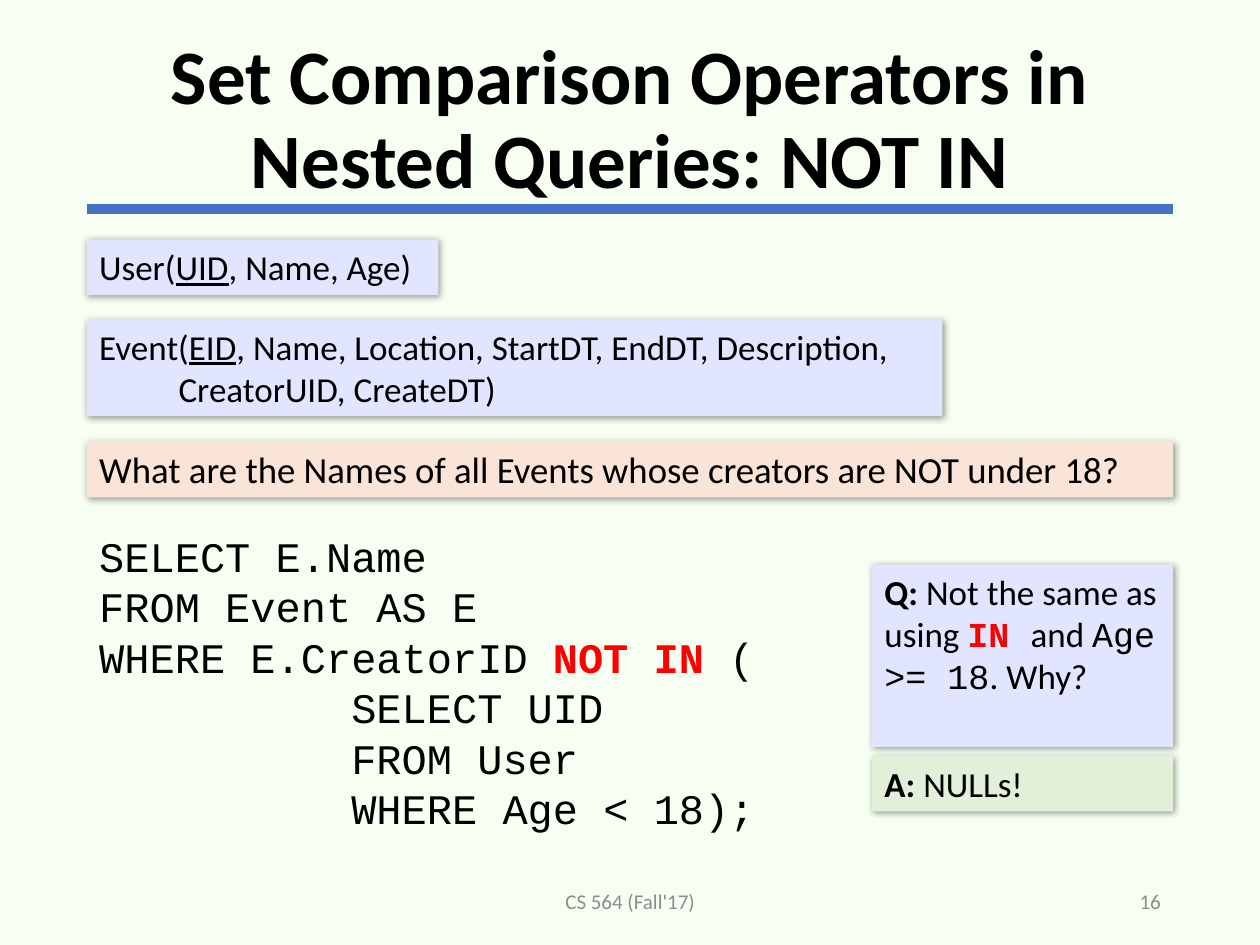
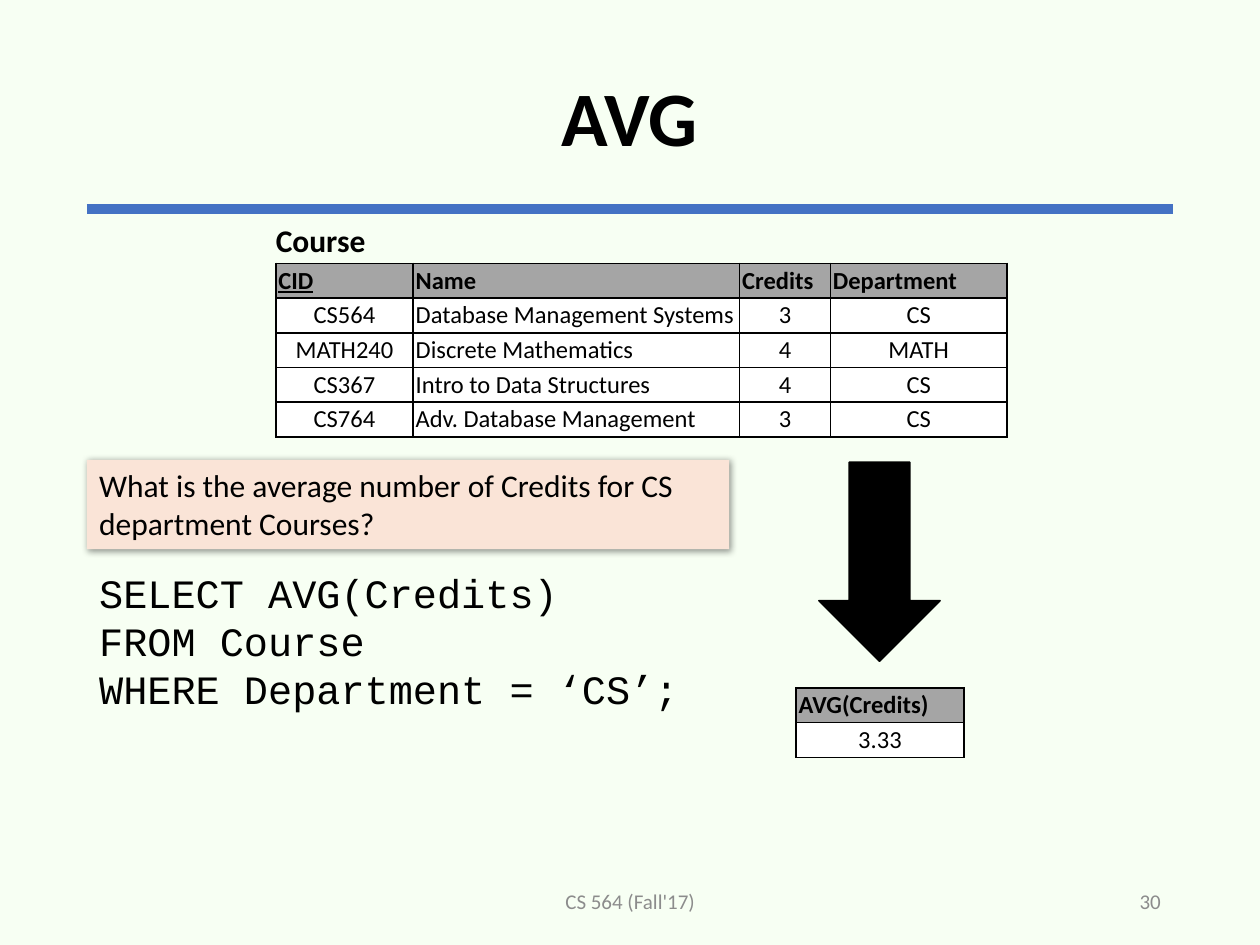
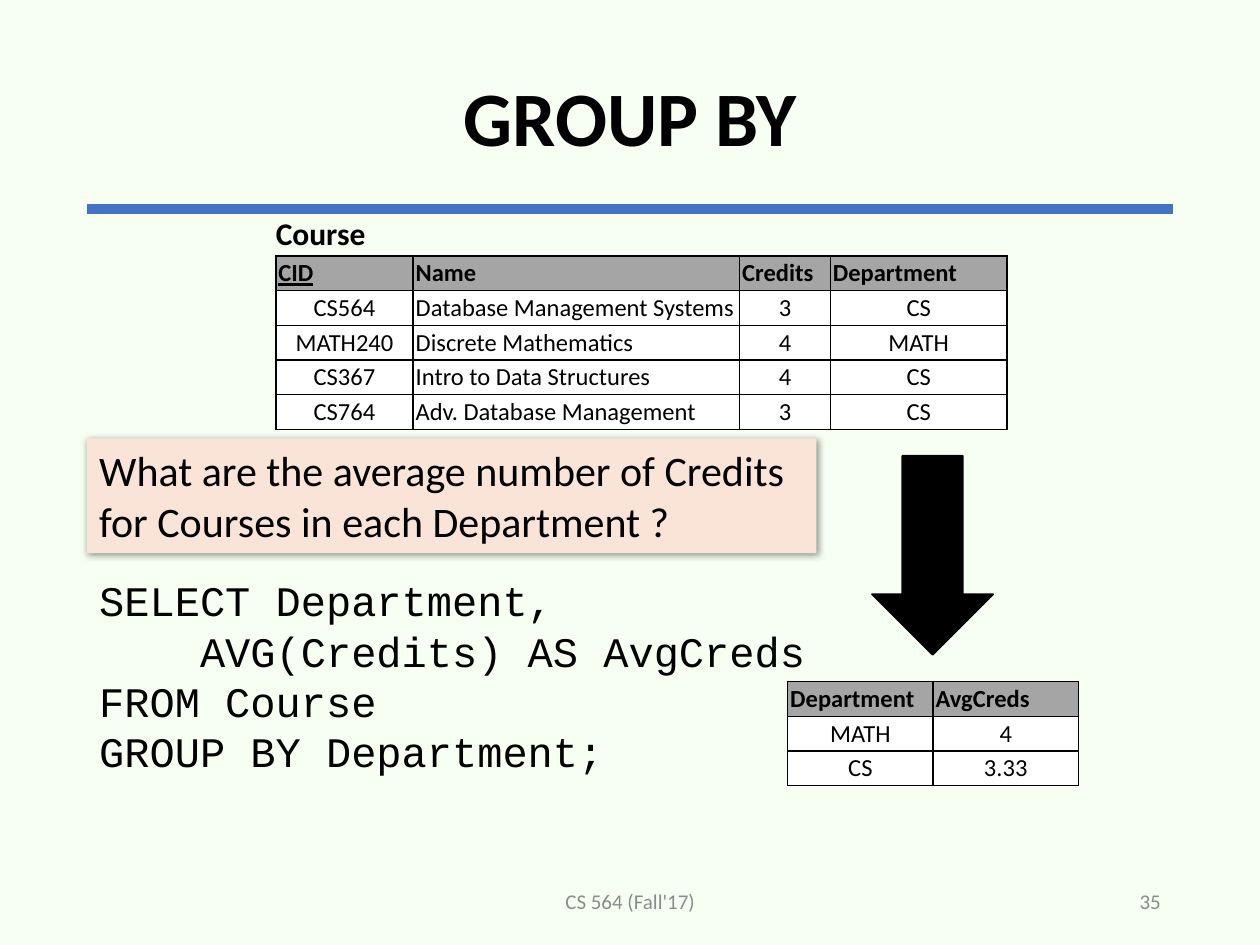
from pptx import Presentation
from pptx.dml.color import RGBColor
from pptx.enum.shapes import MSO_CONNECTOR, MSO_SHAPE
from pptx.enum.text import MSO_ANCHOR as ANCHOR, MSO_AUTO_SIZE as FIT, PP_ALIGN as ALIGN
from pptx.oxml import parse_xml
from pptx.oxml.ns import nsdecls
from pptx.oxml.xmlchemy import OxmlElement
from pptx.util import Cm, Pt

COLORS = {
    "background": "F7FFF3",
    "rule": "4472C4",
    "text": "000000",
    "footer": "8C8C8C",
    "keyword": "FF0000",
    "schema": "E2E5FF",
    "question": "FAE4D7",
    "answer": "E2F0D9",
    "header": "A5A5A5",
    "cell": "FFFFFF",
}
SANS, MONO = "Calibri", "Courier New"
LEFT, WIDTH = 1.75, 21.9
ROW_HEIGHT = 0.7
KEYWORD = {"font": MONO, "color": "keyword", "bold": True}
BOLD = {"bold": True}
UNDERLINE = {"underline": True}

COURSE_COLUMNS = [2.77, 6.58, 1.83, 3.56]
COURSE_ROWS = [
    ["CID", "Name", "Credits", "Department"],
    ["CS564", "Database Management Systems", "3", "CS"],
    ["MATH240", "Discrete Mathematics", "4", "MATH"],
    ["CS367", "Intro to Data Structures", "4", "CS"],
    ["CS764", "Adv. Database Management", "3", "CS"],
]


def rgb(name):
    return RGBColor.from_string(COLORS[name])


def add_run(p, text, size, font=SANS, color="text", bold=False, underline=False):
    r = p.add_run()
    r.text = text
    f = r.font
    f.name, f.size, f.bold, f.underline = font, Pt(size), bold, underline
    f.color.rgb = rgb(color)


def write(tf, lines, size, align=ALIGN.LEFT, **style):
    for i, line in enumerate(lines):
        p = tf.add_paragraph() if i else tf.paragraphs[0]
        p.alignment = align
        for piece in [line] if isinstance(line, str) else line:
            text, change = (piece, {}) if isinstance(piece, str) else piece
            add_run(p, text, size, **{**style, **change})


def add_text(s, box, lines, size, wrap=True, anchor=ANCHOR.TOP, **style):
    tf = s.shapes.add_textbox(*map(Cm, box)).text_frame
    tf.word_wrap = wrap
    tf.vertical_anchor = anchor
    write(tf, lines, size, **style)


def add_code(s, top, height, lines, size=24):
    add_text(s, (LEFT, top, 15.24, height), lines, size, font=MONO)


def add_card(s, box, fill, lines, size=20):
    sp = s.shapes.add_shape(MSO_SHAPE.RECTANGLE, *map(Cm, box))
    sp.fill.solid()
    sp.fill.fore_color.rgb = rgb(fill)
    sp.line.fill.background()
    sp.shadow.inherit = False
    sp._element.spPr.find("{*}effectLst").append(parse_xml(
        f'<a:outerShdw {nsdecls("a")} blurRad="50800" dist="12700" dir="2700000" algn="tl">'
        f'<a:srgbClr val="{COLORS["text"]}"><a:alpha val="40000"/></a:srgbClr></a:outerShdw>'))
    tf = sp.text_frame
    tf.word_wrap = True
    tf.auto_size = FIT.SHAPE_TO_FIT_TEXT
    tf.vertical_anchor = ANCHOR.TOP
    write(tf, lines, size)
    return tf


def add_borders(cell):
    tcPr = cell._tc.get_or_add_tcPr()
    for side in "LRTB":
        tcPr.append(parse_xml(
            f'<a:ln{side} {nsdecls("a")} w="12700"><a:solidFill>'
            f'<a:srgbClr val="{COLORS["text"]}"/></a:solidFill></a:ln{side}>'))


def add_grid(s, left, top, widths, rows, left_columns=(), key=None):
    frame = s.shapes.add_table(len(rows), len(widths), Cm(left), Cm(top),
                               Cm(sum(widths)), Cm(ROW_HEIGHT * len(rows)))
    table = frame.table
    table.first_row = table.horz_banding = False
    for column, width in zip(table.columns, widths):
        column.width = Cm(width)
    for i, values in enumerate(rows):
        table.rows[i].height = Cm(ROW_HEIGHT)
        header = i == 0
        for j, value in enumerate(values):
            cell = table.cell(i, j)
            cell.margin_left = cell.margin_right = Cm(0.05)
            cell.margin_top = cell.margin_bottom = Cm(0.05)
            add_borders(cell)
            cell.fill.solid()
            cell.fill.fore_color.rgb = rgb("header" if header else "cell")
            align = ALIGN.LEFT if header or j in left_columns else ALIGN.CENTER
            write(cell.text_frame, [value], 14, align, bold=header,
                  underline=header and value == key)


def add_course_table(s, top):
    add_grid(s, 5.56, top, COURSE_COLUMNS, COURSE_ROWS, left_columns=(1,), key="CID")
    add_text(s, (5.31, top - 0.97, 2.57, 1.02), ["Course"], 18, wrap=False, bold=True)


def add_down_arrow(s, left, top):
    sp = s.shapes.add_shape(MSO_SHAPE.DOWN_ARROW, Cm(left), Cm(top), Cm(2.44), Cm(4.01))
    sp.fill.solid()
    sp.fill.fore_color.rgb = rgb("text")
    sp.line.color.rgb = rgb("text")
    sp.line.width = Pt(1)
    sp.shadow.inherit = False


def add_rule(s):
    y = Cm(4.21)
    rule = s.shapes.add_connector(MSO_CONNECTOR.STRAIGHT, Cm(LEFT), y, Cm(LEFT + WIDTH), y)
    rule.line.color.rgb = rgb("rule")
    rule.line.width = Pt(6)
    rule._element.spPr.append(OxmlElement("a:effectLst"))


def add_slide(prs, title, number):
    s = prs.slides.add_slide(prs.slide_layouts[5])
    add_rule(s)
    sp = s.shapes.title
    sp.left, sp.top, sp.width, sp.height = map(Cm, (LEFT, 0.61, WIDTH, 3.68))
    tf = sp.text_frame
    tf.auto_size = FIT.NONE
    tf.vertical_anchor = ANCHOR.MIDDLE
    write(tf, [title], 44, ALIGN.CENTER, bold=True)
    tf.paragraphs[0].line_spacing = 0.9
    footers = [(8.41, 8.59, "CS 564 (Fall'17)", ALIGN.CENTER),
               (17.94, 5.71, str(number), ALIGN.RIGHT)]
    for left, width, text, align in footers:
        add_text(s, (left, 17.65, width, 1.02), [text], 12,
                 anchor=ANCHOR.MIDDLE, align=align, color="footer")
    return s


def build_not_in(prs):
    s = add_slide(prs, "Set Comparison Operators in Nested Queries: NOT IN", 16)
    add_card(s, (LEFT, 4.83, 7.09, 1.12), "schema",
             [["User(", ("UID", UNDERLINE), ", Name, Age)"]])
    event = add_card(s, (LEFT, 6.43, 17.25, 1.96), "schema", [
        ["Event(", ("EID", UNDERLINE), ", Name, Location, StartDT, EndDT, Description,"],
        "CreatorUID, CreateDT)",
    ])
    event.paragraphs[1]._p.get_or_add_pPr().set("marL", str(Cm(1.6)))
    add_card(s, (LEFT, 8.89, WIDTH, 1.14), "question",
             ["What are the Names of all Events whose creators are NOT under 18?"], 21)
    add_code(s, 10.57, 6.4, [
        "SELECT E.Name",
        "FROM Event AS E",
        ["WHERE E.CreatorID ", ("NOT IN", KEYWORD), " ("],
        "          SELECT UID",
        "          FROM User",
        "          WHERE Age < 18);",
    ])
    add_card(s, (17.58, 11.38, 6.07, 3.68), "schema", [[
        ("Q: ", BOLD), "Not the same as using ", ("IN ", KEYWORD), "and ",
        ("Age >= 18", {"font": MONO}), ". Why?",
    ]])
    add_card(s, (17.58, 15.24, 6.07, 1.12), "answer", [[("A: ", BOLD), "NULLs!"]])


def build_avg(prs):
    s = add_slide(prs, "AVG", 30)
    add_code(s, 11.33, 3.51, [
        "SELECT AVG(Credits)",
        "FROM Course",
        "WHERE Department = ‘CS’;",
    ], 23)
    add_down_arrow(s, 16.51, 9.32)
    add_course_table(s, 5.31)
    add_grid(s, 16.05, 13.87, [3.38], [["AVG(Credits)"], ["3.33"]])
    add_card(s, (LEFT, 9.27, 12.95, 1.8), "question",
             ["What is the average number of Credits for CS department Courses?"], 18)


def build_group_by(prs):
    s = add_slide(prs, "GROUP BY", 35)
    add_code(s, 11.46, 5.44, [
        "SELECT Department,",
        "    AVG(Credits) AS AvgCreds",
        "FROM Course",
        "GROUP BY Department;",
    ])
    add_down_arrow(s, 17.58, 9.19)
    add_course_table(s, 5.16)
    add_card(s, (LEFT, 8.84, 14.71, 2.31), "question",
             ["What are the average number of Credits for Courses in each Department ?"], 24)
    add_grid(s, 15.88, 13.74, [2.93, 2.93],
             [["Department", "AvgCreds"], ["MATH", "4"], ["CS", "3.33"]])


def main():
    prs = Presentation()
    prs.slide_width, prs.slide_height = Cm(25.4), Cm(19.05)
    fill = prs.slide_master.background.fill
    fill.solid()
    fill.fore_color.rgb = rgb("background")
    build_not_in(prs)
    build_avg(prs)
    build_group_by(prs)
    prs.save("out.pptx")


if __name__ == "__main__":
    main()
